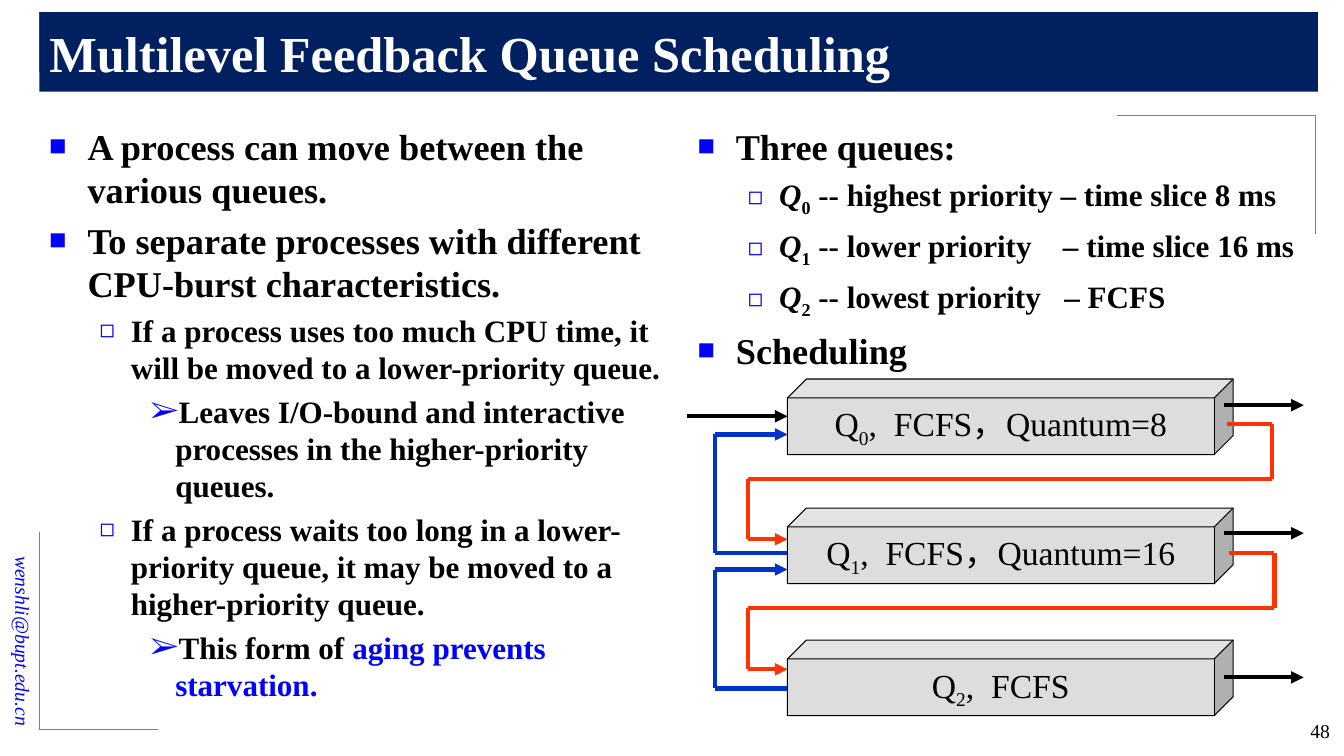
from pptx import Presentation
from pptx.util import Inches, Pt
from pptx.dml.color import RGBColor
from pptx.enum.shapes import MSO_SHAPE as Shape, MSO_CONNECTOR as Link
from pptx.enum.text import PP_ALIGN as Align, MSO_ANCHOR as Anchor
from pptx.oxml.ns import qn
from lxml.etree import SubElement

WIDE, HIGH = 13.33, 7.5
FONT = "Times New Roman"
BLACK, WHITE, NAVY, BLUE = "000000", "FFFFFF", "002060", "0000FF"
GREY, SILVER, RED, ROYAL = "808080", "DDDDDD", "FF3300", "0033CC"

TITLE = "Multilevel Feedback Queue Scheduling"
MAIL, PAGE = "wenshli@bupt.edu.cn", "48"
IT, SUB, HUE = {"italic": True}, {"sub": True}, {"color": BLUE}


def gap(count):
    """Return one space, tracked out to the width of count spaces."""
    return " ", {"count": count}


# Paragraphs: (level, run, run, ...); a run is text or (text, format)
LEFT = [
    (0, "A process can move between the various queues."),
    (0, "To separate processes with different CPU-burst characteristics."),
    (1, "If a process uses too much CPU time, it will be moved to a "
        "lower-priority queue."),
    (2, "Leaves I/O-bound and interactive processes in the higher-priority "
        "queues."),
    (1, "If a process waits too long in a lower-priority queue, it may be "
        "moved to a higher-priority queue."),
    (2, "This form of ", ("aging prevents starvation.", HUE)),
]
RIGHT = [
    (0, "Three queues:"),
    (1, ("Q", IT), ("0", SUB), " -- highest priority – time slice 8 ms"),
    (1, ("Q", IT), ("1", SUB), " -- lower priority", gap(4),
        "– time slice 16 ms"),
    (1, ("Q", IT), ("2", SUB), " -- lowest priority", gap(3), "– FCFS"),
    (0, "Scheduling"),
]
# Level: left margin, hanging indent, bullet, bullet percent, text size
LEVELS = [(0.38, 0.38, "■", 80, 25.9),
          (0.81, 0.31, "◻", 80, 22.2),
          (1.25, 0.25, "➢", 100, 22.2)]

# Queue: top, height of its exit arrow, policy
QUEUES = [(3.76, 4.02, "FCFS，Quantum=8"),
          (5.04, 5.29, "FCFS，Quantum=16"),
          (6.35, 6.72, "FCFS")]
CUBE_X, CUBE_W, CUBE_H = 7.81, 4.42, 0.75
# Demotion: exit x, turn x, then the heights of exit, crossing and entry
DOWN = [(12.17, 12.62, 4.21, 4.75, 5.35), (12.19, 12.64, 5.49, 6.03, 6.64)]
UP = [(5.49, 4.31), (6.83, 5.65)]  # promotion: from height, to height
DOWN_X, UP_X = 7.42, 7.09
# Corner lines: point, length across, length down
CORNERS = [(0.39, 0.12, 1.97, 0.59), (0.39, 7.24, 1.18, -1.96),
           (13.05, 1.14, -1.97, 1.18)]

deck = Presentation()
deck.slide_width, deck.slide_height = Inches(WIDE), Inches(HIGH)
slide = deck.slides.add_slide(deck.slide_layouts[6])
shapes = slide.shapes


def rgb(code):
    return RGBColor.from_string(code)


def bullet(para, level):
    left, hang, mark, share, _ = LEVELS[level]
    props = para._p.get_or_add_pPr()
    props.set("marL", str(Inches(left)))
    props.set("indent", str(-Inches(hang)))
    tint = SubElement(props, qn("a:buClr"))
    SubElement(tint, qn("a:srgbClr"), val=BLUE)
    SubElement(props, qn("a:buSzPct"), val=str(share * 1000))
    SubElement(props, qn("a:buFont"), typeface=FONT)
    SubElement(props, qn("a:buChar"), char=mark)


def write(para, runs, size, color=BLACK, bold=False, italic=False):
    for item in runs:
        text, own = (item, {}) if isinstance(item, str) else item
        run = para.add_run()
        run.text = text
        font = run.font
        font.name, font.size, font.bold = FONT, Pt(size), bold
        font.italic = own.get("italic", italic)
        font.color.rgb = rgb(own.get("color", color))
        props = run._r.get_or_add_rPr()
        if own.get("sub"):
            props.set("baseline", "-25000")
        if "count" in own:  # a space is a quarter of the text size
            props.set("spc", str(round(25 * size * (own["count"] - 1))))


def label(shape, *runs, align=Align.LEFT, anchor=Anchor.MIDDLE, wrap=True,
          **form):
    """Fill a shape with one formatted paragraph."""
    frame = shape.text_frame
    frame.word_wrap, frame.vertical_anchor = wrap, anchor
    para = frame.paragraphs[0]
    para.alignment = align
    write(para, runs, **form)


def block(kind, x, y, w, h, fill, edge=None):
    shape = shapes.add_shape(kind, *map(Inches, (x, y, w, h)))
    shape.shadow.inherit = False
    shape.fill.solid()
    shape.fill.fore_color.rgb = rgb(fill)
    if edge:
        shape.line.color.rgb, shape.line.width = rgb(edge), Pt(0.75)
    else:
        shape.line.fill.background()
    return shape


def box(x, y, w, h):
    return shapes.add_textbox(*map(Inches, (x, y, w, h)))


def outline(x, paras, before):
    """Write a bulleted column; before maps a text size to the space above."""
    frame = box(x, 1.18, 6.3, 6.1).text_frame
    frame.word_wrap = True
    for row, (level, *runs) in enumerate(paras):
        para = frame.add_paragraph() if row else frame.paragraphs[0]
        size = LEVELS[level][-1]
        bullet(para, level)
        para.line_spacing = 1.0
        if row:
            para.space_before = Pt(before(size))
        write(para, runs, size, bold=True)


def route(points, color, width=3, arrow=True):
    """Join points by straight lines, with an arrowhead on the last."""
    for start, end in zip(points, points[1:]):
        line = shapes.add_connector(Link.STRAIGHT,
                                    *map(Inches, (*start, *end)))
        line.line.color.rgb, line.line.width = rgb(color), Pt(width)
        props = line._element.spPr
        if arrow and end == points[-1]:
            SubElement(props.find(qn("a:ln")), qn("a:tailEnd"),
                       type="triangle")
        SubElement(props, qn("a:effectLst"))


# Frame of the page
mail = box(-1.09, 5.81, 2.64, 0.34)
mail.rotation = 90
label(mail, MAIL, size=14, color=BLUE, italic=True, align=Align.RIGHT)
for x, y, over, down in CORNERS:
    route([(x + over, y), (x, y), (x, y + down)], GREY, 0.5, arrow=False)
label(block(Shape.RECTANGLE, 0.39, 0.12, 12.68, 0.79, NAVY), TITLE,
      size=36, color=WHITE, bold=True)

outline(0.39, LEFT, lambda size: round(size * 0.2, 1))
outline(6.82, RIGHT, lambda size: 6)

# Queues and the moves between them
for index, (top, _, policy) in enumerate(QUEUES):
    cube = block(Shape.CUBE, CUBE_X, top, CUBE_W, CUBE_H, SILVER, BLACK)
    label(cube, "Q", (str(index), SUB), ",", gap(2), policy, size=24,
          align=Align.CENTER, wrap=False)
route([(6.81, 4.13), (CUBE_X, 4.13)], BLACK)
for _, out, _ in QUEUES:
    route([(12.14, out), (12.93, out)], BLACK)
for x, turn, leave, cross, enter in DOWN:
    route([(x, leave), (turn, leave), (turn, cross), (DOWN_X, cross),
           (DOWN_X, enter), (CUBE_X, enter)], RED)
for low, high in UP:
    route([(CUBE_X, low), (UP_X, low), (UP_X, high), (CUBE_X, high)], ROYAL)

label(box(12.18, 7.08, 1.11, 0.36), PAGE, size=14, align=Align.RIGHT,
      anchor=Anchor.TOP)

deck.save("out.pptx")
